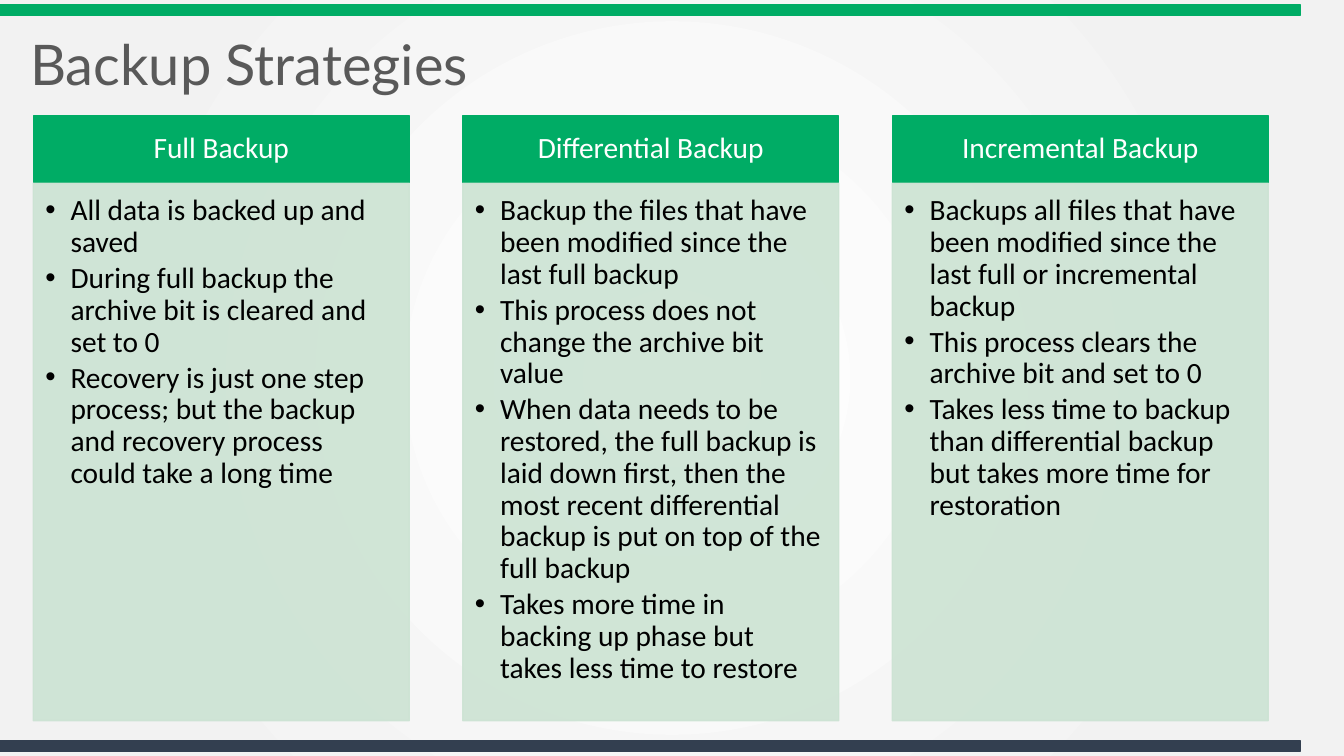
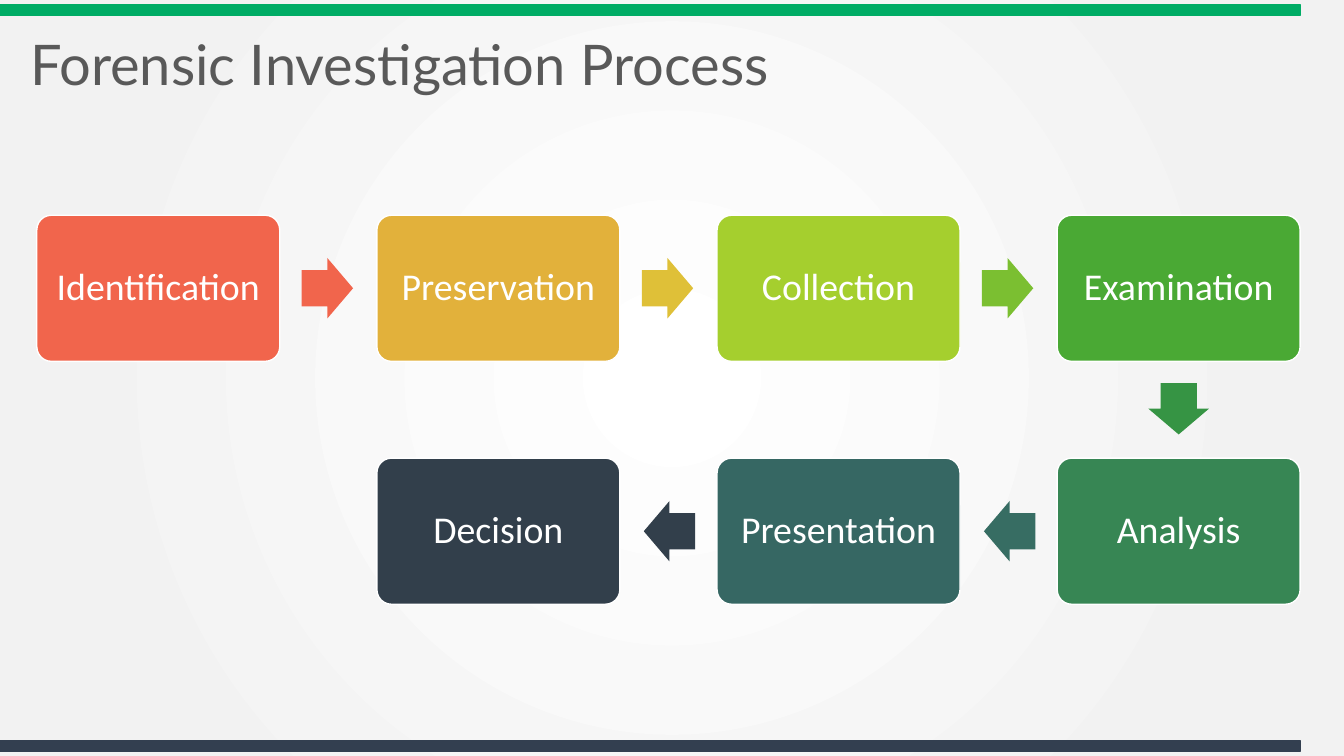
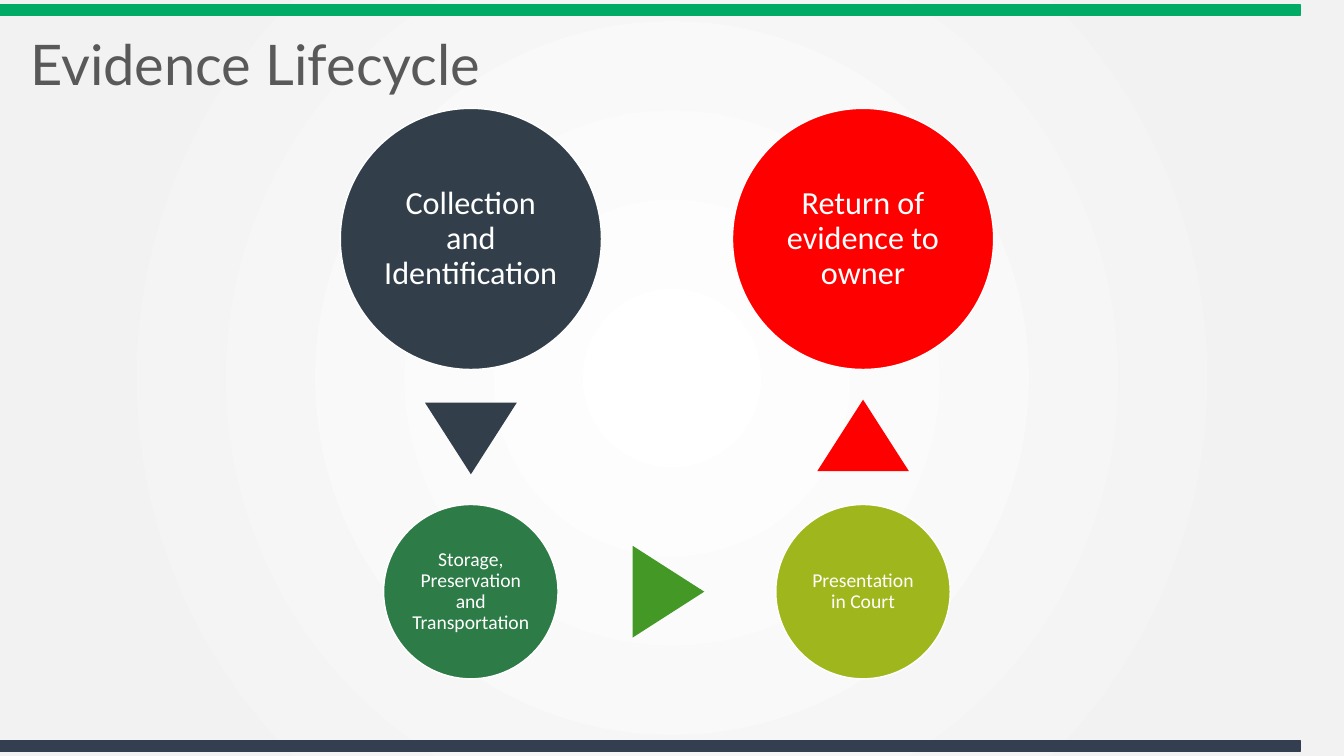
from copy import deepcopy
from math import atan2, cos, degrees, sin

from pptx import Presentation
from pptx.dml.color import RGBColor
from pptx.enum.shapes import MSO_SHAPE
from pptx.enum.text import MSO_ANCHOR, MSO_AUTO_SIZE, PP_ALIGN
from pptx.oxml import parse_xml
from pptx.oxml.ns import nsdecls, qn
from pptx.util import Inches, Pt

GREEN, NAVY, MINT = "00AC65", "333F50", "CCE3D3"
SLATE, RED, WHITE = "323F4B", "FF0000", "FFFFFF"


def tint(color, code):
    color.rgb = RGBColor.from_string(code)


class Deck:
    """Holds the shared style and the current slide."""

    def __init__(self):
        self.show = Presentation()
        self.show.slide_width = Inches(13.33)
        self.show.slide_height = Inches(7.5)
        self.layout = self.show.slide_layouts[5]
        self.slide = None
        self.glow()

    def glow(self):
        fill = self.layout.background.fill
        fill.gradient()
        for stop, spot, code in zip(fill.gradient_stops, (0, 0.81), (WHITE, "F2F2F2")):
            stop.position = spot
            tint(stop.color, code)
        grad = self.layout.element.find(".//" + qn("a:gradFill"))
        stops = grad.find(qn("a:gsLst"))
        last = deepcopy(stops[-1])
        last.set("pos", "100000")
        stops.append(last)
        grad.replace(grad.find(qn("a:lin")), parse_xml(
            f'<a:path {nsdecls("a")} path="circle">'
            '<a:fillToRect l="50000" t="50000" r="50000" b="50000"/></a:path>'))

    def bands(self):
        for num, (top, code) in enumerate(((0.05, GREEN), (7.35, NAVY))):
            band = self.shape(MSO_SHAPE.RECTANGLE, (0, top, 12.9, 0.1), code, code)
            band.element.nvSpPr.cNvPr.id = 90 + num
            self.layout.shapes.element.insert(2 + num, band.element)

    def page(self, text):
        self.slide = self.show.slides.add_slide(self.layout)
        if len(self.show.slides) == 1:
            self.bands()
        title = self.slide.shapes.title
        title.left, title.top, title.width, title.height = map(Inches, (0.2, 0.27, 11.7, 0.8))
        frame = title.text_frame
        frame.auto_size = MSO_AUTO_SIZE.NONE
        frame.vertical_anchor = MSO_ANCHOR.MIDDLE
        frame.text = text
        self.style(frame.paragraphs[0], 40, "595959", PP_ALIGN.LEFT, "Lato")

    def style(self, para, size, code, align, face="Calibri"):
        para.alignment = align
        para.line_spacing = 0.9
        para.font.name = face
        para.font.size = Pt(size)
        tint(para.font.color, code)

    def shape(self, kind, box, code, edge=None):
        item = self.slide.shapes.add_shape(kind, *map(Inches, box))
        item.shadow.inherit = False
        item.fill.solid()
        tint(item.fill.fore_color, code)
        if edge:
            tint(item.line.color, edge)
            item.line.width = Pt(1)
        else:
            item.line.fill.background()
        return item

    def spot(self, kind, mid, size, code, edge=None):
        x, y = mid
        wide, high = size
        return self.shape(kind, (x - wide / 2, y - high / 2, wide, high), code, edge)

    def inset(self, item, left, top, right, base):
        frame = item.text_frame
        frame.word_wrap = True
        frame.margin_left, frame.margin_top = Inches(left), Inches(top)
        frame.margin_right, frame.margin_bottom = Inches(right), Inches(base)
        return frame

    def label(self, item, text, size, pad):
        frame = self.inset(item, *[pad] * 4)
        frame.vertical_anchor = MSO_ANCHOR.MIDDLE
        frame.text = text
        self.style(frame.paragraphs[0], size, WHITE, PP_ALIGN.CENTER)

    def card(self, left, head, points):
        bar = self.shape(MSO_SHAPE.RECTANGLE, (left, 1.15, 3.73, 0.66), GREEN, GREEN)
        self.label(bar, head, 21, 0.09)
        body = self.shape(MSO_SHAPE.RECTANGLE, (left, 1.82, 3.73, 5.33), MINT, MINT)
        for node in body.element.spPr.iter(qn("a:srgbClr")):
            node.append(parse_xml(f'<a:alpha {nsdecls("a")} val="90000"/>'))
        frame = self.inset(body, 0.12, 0.12, 0.16, 0.18)
        frame.vertical_anchor = MSO_ANCHOR.TOP
        frame.text = "\n".join(points)
        for para in frame.paragraphs:
            self.bullet(para)
            self.style(para, 21, "000000", PP_ALIGN.LEFT)
            para.space_after = Pt(3)

    def bullet(self, para):
        props = para._p.get_or_add_pPr()
        props.set("marL", str(Inches(0.25)))
        props.set("indent", str(-Inches(0.25)))
        props.append(parse_xml(f'<a:buFont {nsdecls("a")} typeface="Arial"/>'))
        props.append(parse_xml(f'<a:buChar {nsdecls("a")} char="•"/>'))

    def step(self, mid, text, code):
        box = self.spot(MSO_SHAPE.ROUNDED_RECTANGLE, mid, (2.41, 1.45), code, WHITE)
        box.adjustments[0] = 0.1
        self.label(box, text, 27, 0.11)

    def arrow(self, start, end, code):
        turn = atan2(end[1] - start[1], end[0] - start[0])
        x = (start[0] + end[0]) / 2 - 0.01 * cos(turn)
        y = (start[1] + end[1]) / 2 - 0.01 * sin(turn)
        item = self.spot(MSO_SHAPE.RIGHT_ARROW, (x, y), (0.51, 0.6), code)
        item.adjustments[0], item.adjustments[1] = 0.6, 0.5
        item.rotation = degrees(turn)

    def disc(self, mid, size, text, font, pad, code):
        item = self.spot(MSO_SHAPE.OVAL, mid, (size, size), code, WHITE)
        self.label(item, text, font, pad)

    def wedge(self, mid, turn, code):
        item = self.spot(MSO_SHAPE.ISOSCELES_TRIANGLE, mid, (0.91, 0.71), code)
        item.rotation = turn


def backup(deck):
    deck.page("Backup Strategies")
    cards = (
        ("Full Backup", (
            "All data is backed up and saved",
            "During full backup the archive bit is cleared and set to 0",
            "Recovery is just one step process; but the backup and recovery process "
            "could take a long time")),
        ("Differential Backup", (
            "Backup the files that have been modified since the last full backup",
            "This process does not change the archive bit value",
            "When data needs to be restored, the full backup is laid down first, then "
            "the most recent differential backup is put on top of the full backup",
            "Takes more time in backing up phase but takes less time to restore")),
        ("Incremental Backup", (
            "Backups all files that have been modified since the last full or "
            "incremental backup",
            "This process clears the archive bit and set to 0",
            "Takes less time to backup than differential backup but takes more time "
            "for restoration")),
    )
    for col, (head, points) in enumerate(cards):
        deck.card(0.33 + 4.26 * col, head, points)


def process(deck):
    deck.page("Forensic Investigation Process")
    steps = (
        ("Identification", "F1654C", 0, 0),
        ("Preservation", "E2B13B", 1, 0),
        ("Collection", "A5CF2E", 2, 0),
        ("Examination", "4AA934", 3, 0),
        ("Analysis", "378654", 3, 1),
        ("Presentation", "366763", 2, 1),
        ("Decision", SLATE, 1, 1),
    )
    hues = ("F1654C", "DFC038", "7BBF31", "369444", "376D63", SLATE)
    mids = [(1.57 + 10.12 * col / 3, 2.86 + 2.41 * row) for *_, col, row in steps]
    for mid, (text, code, *_) in zip(mids, steps):
        deck.step(mid, text, code)
    for start, end, code in zip(mids, mids[1:], hues):
        deck.arrow(start, end, code)


def cycle(deck):
    deck.page("Evidence Lifecycle")
    left, right, high, low = 4.67, 8.56, 2.37, 5.87
    big, small = (2.59, 23, 0.03), (1.73, 14, 0.02)
    for x, y, (size, font, pad), text, code in (
        (left, high, big, "Collection and Identification", SLATE),
        (left, low, small, "Storage, Preservation and Transportation", "2D7B46"),
        (right, low, small, "Presentation in Court", "9FB71C"),
        (right, high, big, "Return of evidence to owner", RED),
    ):
        deck.disc((x, y), size, text, font, pad, code)
    deck.wedge((left, 4.35), 180, SLATE)
    deck.wedge((6.63, low), 90, "449826")
    deck.wedge((right, 4.32), 0, RED)


def main():
    deck = Deck()
    for build in (backup, process, cycle):
        build(deck)
    deck.show.save("out.pptx")


if __name__ == "__main__":
    main()
